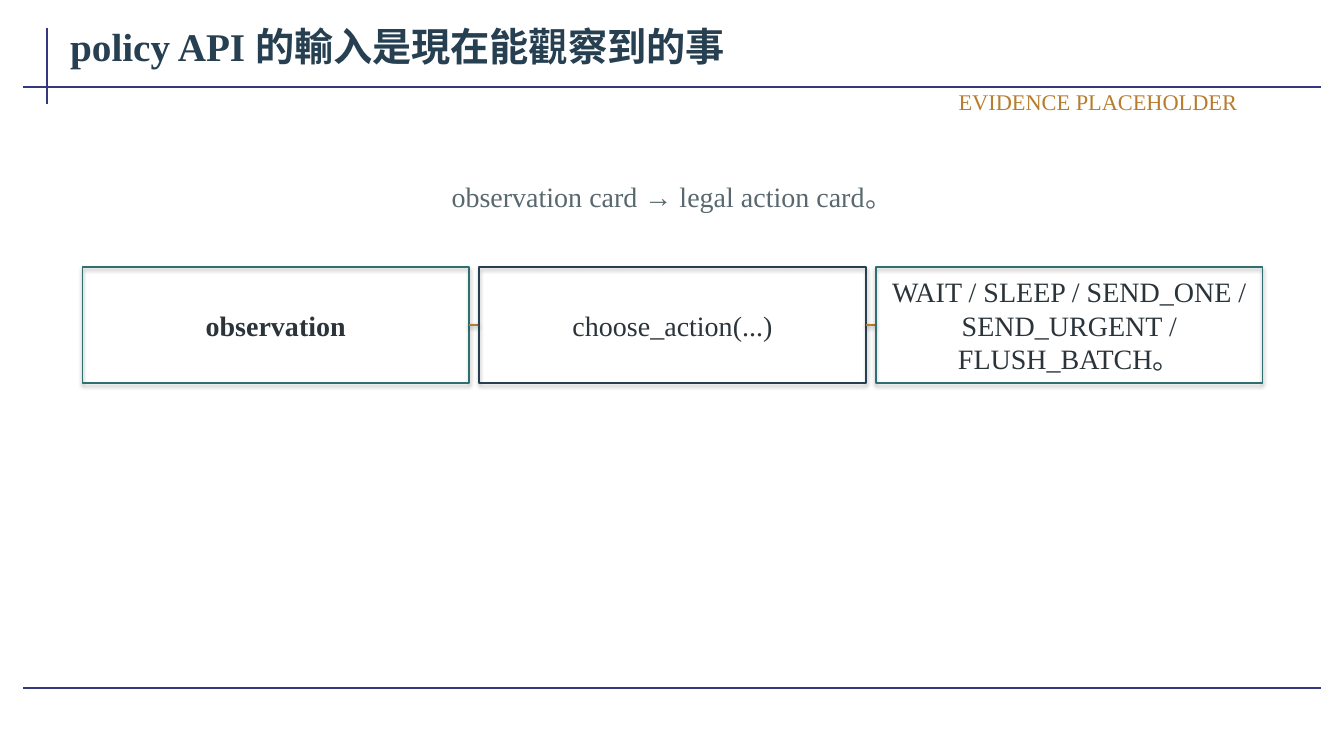
import pptx
import pptx.util
import pptx.dml.color
import pptx.enum.shapes
import pptx.enum.text
import pptx.oxml
import pptx.oxml.ns

Cm = pptx.util.Cm
Pt = pptx.util.Pt
RGBColor = pptx.dml.color.RGBColor
PP_ALIGN = pptx.enum.text.PP_ALIGN

NAVY = RGBColor(0x26, 0x3F, 0x51)
INDIGO = RGBColor(0x35, 0x37, 0x7F)
TEAL = RGBColor(0x2F, 0x6F, 0x70)
OCHRE = RGBColor(0xB7, 0x7D, 0x2D)
INK = RGBColor(0x2A, 0x34, 0x3A)
SLATE = RGBColor(0x59, 0x68, 0x6F)


def set_effects(shape, shadow=None):
    """Replace theme effects by none, or by a downward (alpha %, distance pt) shadow."""
    sp_pr = shape._element.spPr
    effects = pptx.oxml.parse_xml(f'<a:effectLst {pptx.oxml.ns.nsdecls("a")}/>')
    if shadow:
        alpha, distance = shadow
        effects.append(pptx.oxml.parse_xml(
            f'<a:outerShdw {pptx.oxml.ns.nsdecls("a")} blurRad="{Pt(3.15)}" '
            f'dist="{Pt(distance)}" dir="5400000" rotWithShape="0">'
            f'<a:srgbClr val="000000"><a:alpha val="{alpha * 1000}"/></a:srgbClr>'
            '</a:outerShdw>'))
    sp_pr.append(effects)


def add_line(s, x1, y1, x2, y2, color, width, shadow=None):
    line = s.shapes.add_connector(pptx.enum.shapes.MSO_CONNECTOR.STRAIGHT,
                                  Cm(x1), Cm(y1), Cm(x2), Cm(y2))
    line.line.color.rgb = color
    line.line.width = Pt(width)
    set_effects(line, shadow)


def add_text(s, box, text, size, color, align=PP_ALIGN.CENTER, bold=False, grow=True):
    tf = s.shapes.add_textbox(*map(Cm, box)).text_frame
    auto = pptx.enum.text.MSO_AUTO_SIZE
    frame_format = {
        "word_wrap": True,
        "auto_size": auto.SHAPE_TO_FIT_TEXT if grow else auto.NONE,
        "vertical_anchor": pptx.enum.text.MSO_ANCHOR.MIDDLE,
        "margin_left": Cm(0.2), "margin_right": Cm(0.2),
        "margin_top": Cm(0.1), "margin_bottom": Cm(0.1),
    }
    for name, value in frame_format.items():
        setattr(tf, name, value)
    p = tf.paragraphs[0]
    p.alignment = align
    r = p.add_run()
    r.text = text
    for name, value in {"name": "Times New Roman", "size": Pt(size), "bold": bold}.items():
        setattr(r.font, name, value)
    r.font.color.rgb = color


def add_frame(s, box):
    """Rules of the slide frame and the title between them."""
    x, y, w, h = box
    add_line(s, x + 0.6, y, x + 0.6, y + 1.9, INDIGO, 1.5)
    for rule_y in (y + 1.48, y + h):
        add_line(s, x, rule_y, x + w, rule_y, INDIGO, 1.5)
    add_text(s, (x + 0.98, y - 0.33, 31.72, 1.57), "policy API 的輸入是現在能觀察到的事",
             28, NAVY, PP_ALIGN.LEFT, bold=True, grow=False)


def add_flow(s, box, steps, gap=0.26):
    """Equal cards in a row, joined by short lines."""
    x, y, w, h = box
    card_w = (w - gap * (len(steps) - 1)) / len(steps)
    for i, (text, color, bold) in enumerate(steps):
        left = x + i * (card_w + gap)
        if i:
            add_line(s, left - gap, y + h / 2, left, y + h / 2, OCHRE, 1.2, shadow=(38, 1.57))
        card = s.shapes.add_shape(pptx.enum.shapes.MSO_SHAPE.RECTANGLE,
                                  Cm(left), Cm(y), Cm(card_w), Cm(h))
        card.fill.background()
        card.line.color.rgb = color
        card.line.width = Pt(1.2)
        set_effects(card, shadow=(35, 1.81))
        add_text(s, (left + 0.13, y + 0.25, card_w - 0.26, h - 0.5), text, 20, INK, bold=bold)


def add_captions(s, box):
    """Evidence tag at the top right, summary line centred below it."""
    x, y, w, h = box
    add_text(s, (x, y + h - 1.52, w, 1.52), "observation card → legal action card。", 20, SLATE)
    add_text(s, (x + w - 8.3, y, 8.13, 0.76), "EVIDENCE PLACEHOLDER", 16, OCHRE, PP_ALIGN.RIGHT)


def main():
    prs = pptx.Presentation()
    prs.slide_width, prs.slide_height = Cm(33.87), Cm(19.05)
    s = prs.slides.add_slide(prs.slide_layouts[6])

    add_frame(s, (0.59, 0.71, 32.69, 16.62))
    add_flow(s, (2.08, 6.73, 29.74, 2.92), [
        ("observation", TEAL, True),
        ("choose_action(...)", NAVY, False),
        ("WAIT / SLEEP / SEND_ONE / SEND_URGENT / FLUSH_BATCH。", TEAL, False),
    ])
    add_captions(s, (2.34, 2.18, 29.21, 3.53))

    prs.save("out.pptx")


if __name__ == "__main__":
    main()
